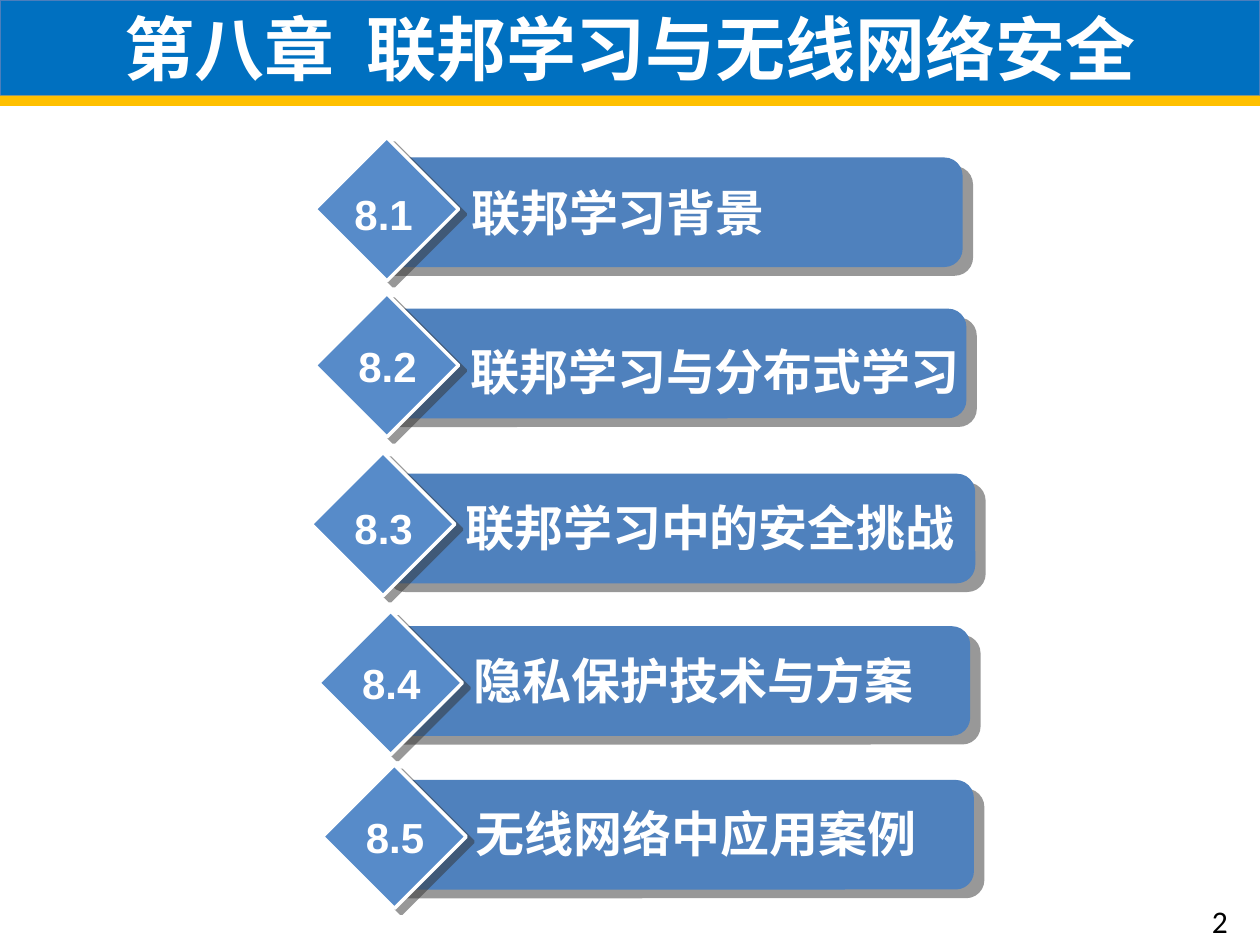
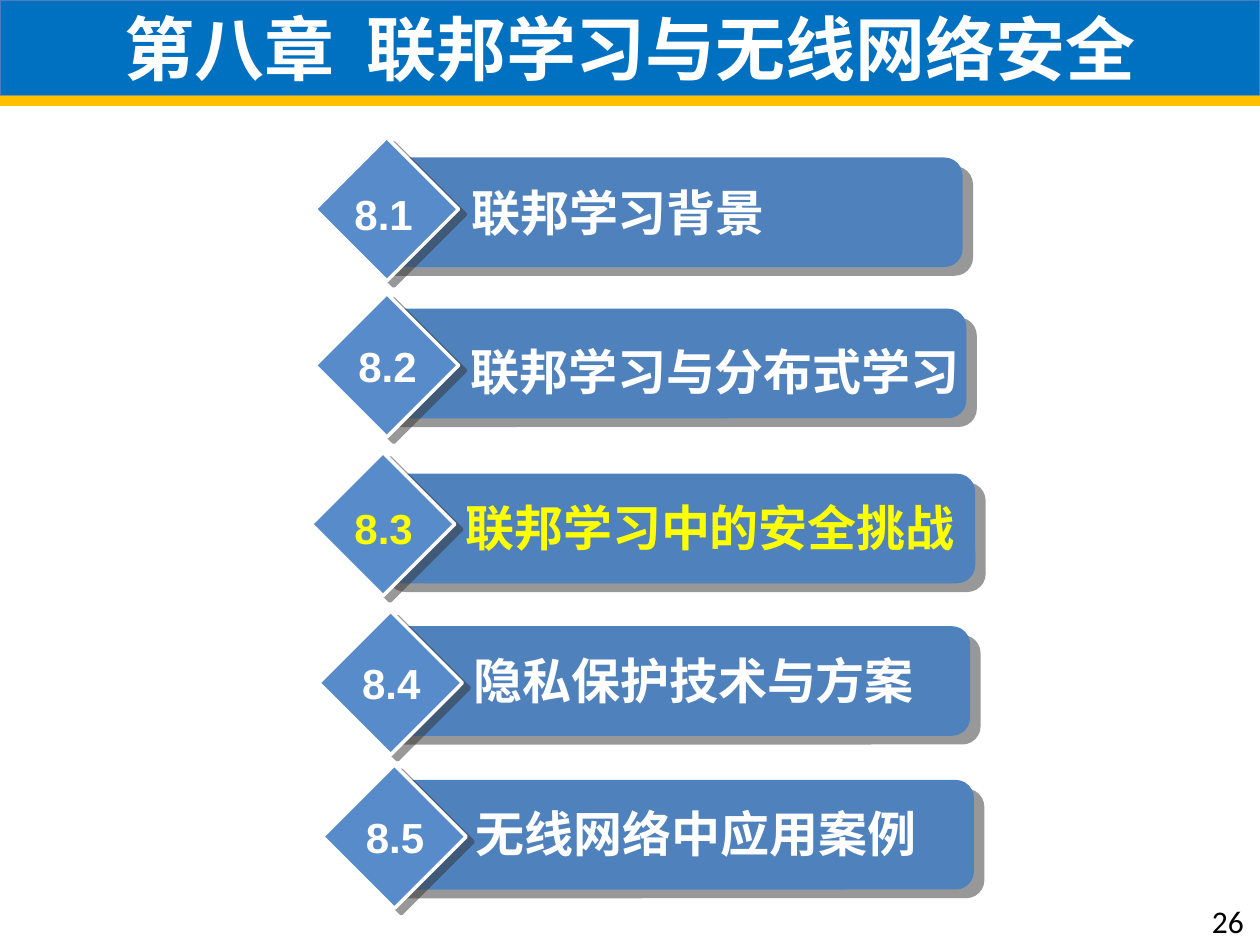
import lxml.etree
import pptx
import pptx.dml.color
import pptx.enum.shapes
import pptx.enum.text
import pptx.oxml.ns
import pptx.util

COLORS = {
    "title": "0070C0", "title_edge": "4B7EBC", "stripe": "FFC000",
    "bar": "4F81BD", "diamond": "578BC9", "shade": "333333",
    "white": "FFFFFF", "black": "000000", "current": "FFFF00",
}
COLUMNS, ROWS = 100, 75
CJK_FONT = "Noto Sans CJK SC"
CHAPTER = "第八章  联邦学习与无线网络安全"

SECTIONS = [
    {"number": "8.1", "name": "联邦学习背景", "font": "Calibri",
     "bar": (28.9, 12.5), "diamond": (25, 10.9), "label": (27.7, 14), "digit": (27.1, 14.5)},
    {"number": "8.2", "name": "联邦学习与分布式学习", "font": "Calibri",
     "bar": (29.2, 24.5), "diamond": (25, 23.3), "label": (35.4, 26.6), "digit": (27.4, 26.5)},
    {"number": "8.3", "name": "联邦学习中的安全挑战", "font": "Calibri",
     "bar": (29.9, 37.6), "diamond": (24.7, 35.9), "label": (35, 39), "digit": (27.1, 39.4)},
    {"number": "8.4", "name": "隐私保护技术与方案", "font": "Calibri",
     "bar": (29.5, 49.7), "diamond": (25.3, 48.5), "label": (33.7, 51.1), "digit": (27.7, 51.7)},
    {"number": "8.5", "name": "无线网络中应用案例", "font": "Arial",
     "bar": (29.8, 61.9), "diamond": (25.6, 60.7), "label": (33.9, 63.3), "digit": (28, 63.9)},
]


class Outline:
    """Holds the deck style and the current page, measured in grid columns and rows."""

    def __init__(self):
        self.deck = pptx.Presentation()
        self.deck.slide_width = pptx.util.Inches(10)
        self.deck.slide_height = pptx.util.Inches(7.5)
        self.page = None

    def place(self, column, row, columns, rows):
        across = self.deck.slide_width / COLUMNS
        down = self.deck.slide_height / ROWS
        return [round(v) for v in (column * across, row * down, columns * across, rows * down)]

    def color(self, name):
        return pptx.dml.color.RGBColor.from_string(COLORS[name])

    def paint(self, shape, fill, line=None, width=0):
        shape.fill.solid()
        shape.fill.fore_color.rgb = self.color(fill)
        if line:
            shape.line.color.rgb = self.color(line)
            shape.line.width = pptx.util.Pt(width)
        else:
            shape.line.fill.background()
        shape.shadow.inherit = False

    def shade(self, shape, color, opacity, blur, distance, angle):
        name = pptx.oxml.ns.qn
        effects = shape._element.spPr.find(name("a:effectLst"))
        outer = lxml.etree.SubElement(effects, name("a:outerShdw"), {
            "blurRad": str(pptx.util.Pt(blur)), "dist": str(pptx.util.Pt(distance)),
            "dir": str(angle * 60000), "algn": "ctr", "rotWithShape": "0"})
        tint = lxml.etree.SubElement(outer, name("a:srgbClr"), val=COLORS[color])
        lxml.etree.SubElement(tint, name("a:alpha"), val=str(opacity * 1000))

    def letter(self, box, text, size, font, color, bold=True, centred=True):
        box.text_frame.text = text
        para = box.text_frame.paragraphs[0]
        align = pptx.enum.text.PP_ALIGN
        para.alignment = align.CENTER if centred else align.LEFT
        for span in para.runs:
            span.font.size = pptx.util.Pt(size)
            span.font.bold = bold
            span.font.name = font
            span.font.color.rgb = self.color(color)
            properties = span._r.get_or_add_rPr()
            lxml.etree.SubElement(properties, pptx.oxml.ns.qn("a:ea"), typeface=CJK_FONT)

    def shape(self, shapes, preset, area, fill, line=None, width=0):
        shape = shapes.add_shape(preset, *self.place(*area))
        self.paint(shape, fill, line, width)
        return shape

    def text(self, shapes, area, text, size, font, color, wrap=True, grow=True, **style):
        box = shapes.add_textbox(*self.place(*area))
        box.text_frame.word_wrap = wrap
        if grow:
            box.text_frame.auto_size = pptx.enum.text.MSO_AUTO_SIZE.SHAPE_TO_FIT_TEXT
        self.letter(box, text, size, font, color, **style)

    def title(self, text):
        box = self.page.shapes.title
        box.left, box.top, box.width, box.height = self.place(0, 0, COLUMNS, 7.6)
        self.paint(box, "title", "title_edge", 0.75)
        self.shade(box, "black", 38, 3.1, 1.6, 90)
        box.text_frame.auto_size = pptx.enum.text.MSO_AUTO_SIZE.NONE
        box.text_frame.vertical_anchor = pptx.enum.text.MSO_ANCHOR.MIDDLE
        self.letter(box, text, 40, CJK_FONT, "white")

    def section(self, section, color):
        presets = pptx.enum.shapes.MSO_SHAPE
        shapes = self.page.shapes.add_group_shape().shapes
        bar = self.shape(shapes, presets.ROUNDED_RECTANGLE, (*section["bar"], 47.5, 8.7), "bar")
        self.shade(bar, "shade", 50, 0, 7.8, 40)
        diamond = self.shape(shapes, presets.DIAMOND, (*section["diamond"], 11.4, 11.4),
                             "diamond", "white", 2)
        self.shade(diamond, "shade", 50, 0, 5, 37)
        self.text(shapes, (*section["label"], 42.7, 5.7), section["name"], 28,
                  section["font"], color)
        self.text(shapes, (*section["digit"], 6.7, 5), section["number"], 24,
                  "Arial", color, wrap=False)

    def contents(self, number, current=None):
        self.page = self.deck.slides.add_slide(self.deck.slide_layouts[5])
        self.title(CHAPTER)
        self.shape(self.page.shapes, pptx.enum.shapes.MSO_SHAPE.RECTANGLE,
                   (0, 7.6, COLUMNS, 0.8), "stripe")
        for section in SECTIONS:
            self.section(section, "current" if section["number"] == current else "white")
        self.text(self.page.shapes, (95.2, 71.1, 4.7, 4), number, 18, "Calibri", "black",
                  grow=False, bold=False, centred=False)


def main():
    outline = Outline()
    outline.contents("2")
    outline.contents("26", current="8.3")
    outline.deck.save("out.pptx")


if __name__ == "__main__":
    main()
